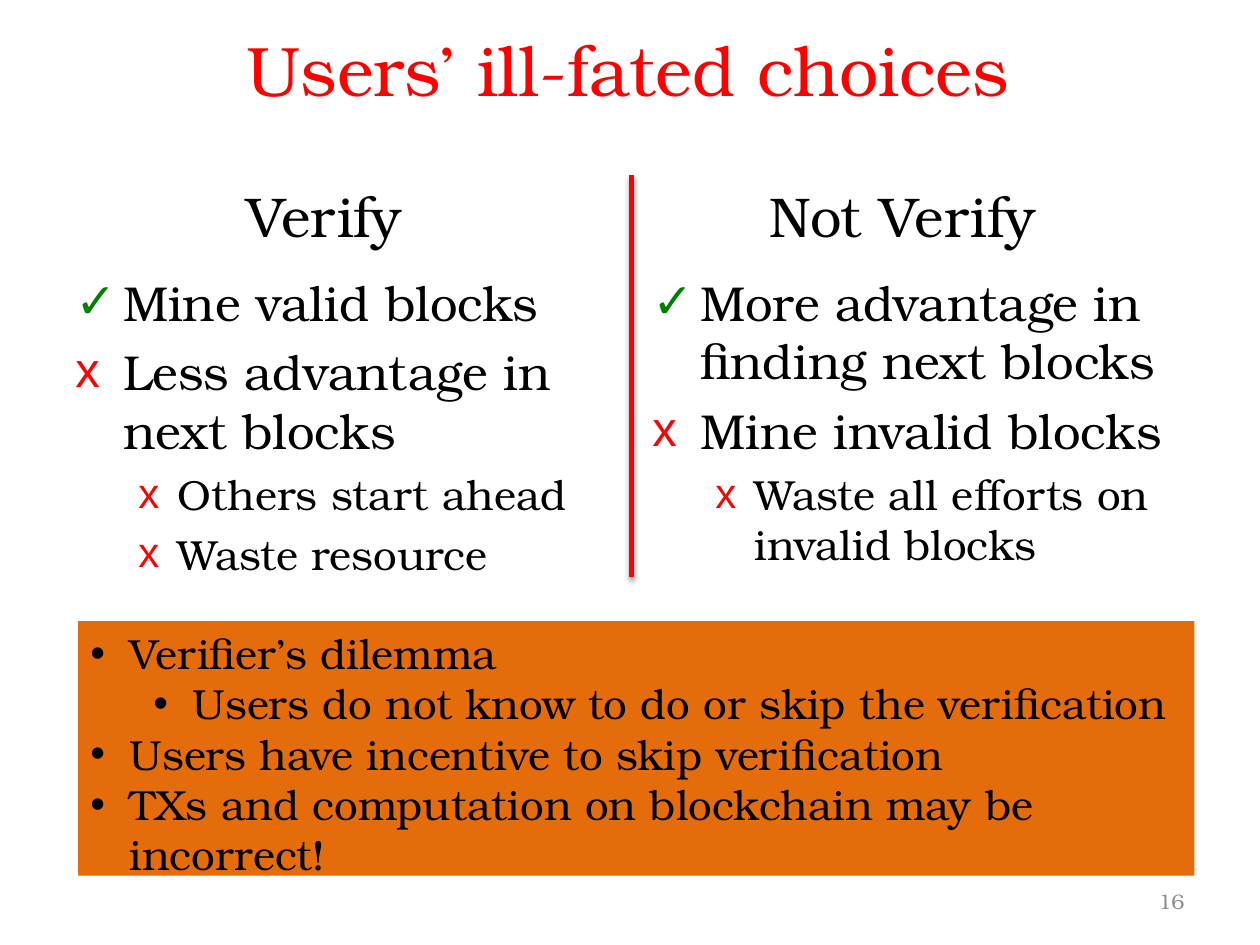
from dataclasses import dataclass

from lxml import etree
from pptx import Presentation
from pptx.dml.color import RGBColor
from pptx.enum.shapes import MSO_CONNECTOR, MSO_SHAPE
from pptx.enum.text import MSO_ANCHOR, MSO_AUTO_SIZE, PP_ALIGN
from pptx.oxml.ns import qn
from pptx.util import Inches, Pt

LEFT, CENTER, RIGHT = PP_ALIGN.LEFT, PP_ALIGN.CENTER, PP_ALIGN.RIGHT
TOP, MIDDLE = MSO_ANCHOR.TOP, MSO_ANCHOR.MIDDLE
NO_AUTOFIT = MSO_AUTO_SIZE.NONE
RECTANGLE, STRAIGHT = MSO_SHAPE.RECTANGLE, MSO_CONNECTOR.STRAIGHT
TITLE_ONLY = 5


@dataclass(frozen=True)
class Theme:
    font: str = "TeX Gyre Bonum"
    bullet_font: str = "Arial"
    text: str = "000000"
    accent: str = "FF0000"
    good: str = "008000"
    panel: str = "E46C0A"
    muted: str = "8C8C8C"
    title_size: int = 40
    heading_size: int = 32
    point_size: int = 28
    detail_size: int = 24
    number_size: int = 12


THEME = Theme()
PRO = ("✓", THEME.good)
CON = ("x", THEME.accent)
DOT = ("•", THEME.text)

CHOICES = [
    ("Verify", 1, 0.5, [
        (0, PRO, "Mine valid blocks"),
        (0, CON, "Less advantage in next blocks"),
        (1, CON, "Others start ahead"),
        (1, CON, "Waste resource"),
    ]),
    ("Not Verify", 5.59, 5.08, [
        (0, PRO, "More advantage in finding next blocks"),
        (0, CON, "Mine invalid blocks"),
        (1, CON, "Waste all efforts on invalid blocks"),
    ]),
]
DILEMMA = [
    (0, DOT, "Verifier’s dilemma"),
    (1, DOT, "Users do not know to do or skip the verification"),
    (0, DOT, "Users have incentive to skip verification"),
    (0, DOT, "TXs and computation on blockchain may be incorrect!"),
]


def apply_format(target, values):
    for name, value in values.items():
        setattr(target, name, value)


def place(shape, box):
    names = ("left", "top", "width", "height")
    apply_format(shape, dict(zip(names, map(Inches, box))))


def prepare_frame(shape, anchor=TOP):
    frame = shape.text_frame
    apply_format(frame, {
        "word_wrap": True, "auto_size": NO_AUTOFIT, "vertical_anchor": anchor,
        "margin_left": Inches(0.1), "margin_right": Inches(0.1),
        "margin_top": Inches(0.05), "margin_bottom": Inches(0.05),
    })
    return frame


def write(paragraph, text, size, color=THEME.text, align=LEFT):
    paragraph.alignment = align
    run = paragraph.add_run()
    run.text = text
    apply_format(run.font, {"name": THEME.font, "size": Pt(size)})
    run.font.color.rgb = RGBColor.from_string(color)


def add_label(slide, box, text, size, color, align, anchor=TOP):
    label = slide.shapes.add_textbox(*map(Inches, box))
    write(prepare_frame(label, anchor).paragraphs[0], text, size, color, align)


def set_bullet(paragraph, bullet, margin, hanging):
    character, color = bullet
    properties = paragraph._p.get_or_add_pPr()
    properties.set("marL", str(Inches(margin)))
    properties.set("indent", str(-Inches(hanging)))
    bullet_color = etree.SubElement(properties, qn("a:buClr"))
    etree.SubElement(bullet_color, qn("a:srgbClr"), val=color)
    etree.SubElement(properties, qn("a:buFont"), typeface=THEME.bullet_font)
    etree.SubElement(properties, qn("a:buChar"), char=character)


def write_bullets(frame, items, sizes, indents, spacing=0):
    """Fill the frame; sizes and indents hold one entry for each level."""
    for index, (level, bullet, text) in enumerate(items):
        paragraph = frame.paragraphs[0] if index == 0 else frame.add_paragraph()
        size = sizes[level]
        write(paragraph, text, size)
        apply_format(paragraph, {"level": level, "space_before": Pt(size * spacing)})
        set_bullet(paragraph, bullet, *indents[level])


def add_title(slide, box):
    title = slide.shapes.title
    place(title, box)
    frame = prepare_frame(title, MIDDLE)
    write(frame.paragraphs[0], "Users’ ill-fated choices",
          THEME.title_size, THEME.accent, CENTER)


def add_choice(slide, heading_box, body_box, heading, items):
    add_label(slide, heading_box, heading, THEME.heading_size, THEME.text, CENTER)
    body = slide.shapes.add_textbox(*map(Inches, body_box))
    write_bullets(prepare_frame(body), items,
                  (THEME.point_size, THEME.detail_size),
                  ((0.38, 0.38), (0.81, 0.31)), spacing=0.22)


def add_divider(slide, x, top, bottom):
    divider = slide.shapes.add_connector(
        STRAIGHT, *map(Inches, (x, top, x, bottom)))
    divider.line.color.rgb = RGBColor.from_string(THEME.accent)
    divider.line.width = Pt(3)
    effects = etree.SubElement(divider._element.spPr, qn("a:effectLst"))
    shadow = etree.SubElement(
        effects, qn("a:outerShdw"), blurRad=str(Pt(3.1)), dist=str(Pt(1.8)),
        dir="5400000", rotWithShape="0")
    color = etree.SubElement(shadow, qn("a:srgbClr"), val="000000")
    etree.SubElement(color, qn("a:alpha"), val="35000")


def add_dilemma_panel(slide, box):
    panel = slide.shapes.add_shape(RECTANGLE, *map(Inches, box))
    panel.shadow.inherit = False
    panel.fill.solid()
    panel.fill.fore_color.rgb = RGBColor.from_string(THEME.panel)
    panel.line.fill.background()
    write_bullets(prepare_frame(panel), DILEMMA, (THEME.detail_size,) * 2,
                  ((0.31, 0.31), (0.81, 0.31)))


def build_slide(presentation):
    slide = presentation.slides.add_slide(presentation.slide_layouts[TITLE_ONLY])
    add_title(slide, (0.48, 0.12, 9, 0.84))
    for heading, heading_left, body_left, items in CHOICES:
        add_choice(slide, (heading_left, 1.39, 3.15, 0.64),
                   (body_left, 2.11, 4.42, 2.47), heading, items)
    add_divider(slide, 5.01, 1.39, 4.58)
    add_dilemma_panel(slide, (0.62, 4.93, 8.86, 2.02))
    add_label(slide, (7.17, 6.95, 2.33, 0.4), "16",
              THEME.number_size, THEME.muted, RIGHT, MIDDLE)


def main():
    presentation = Presentation()
    apply_format(presentation,
                 {"slide_width": Inches(10), "slide_height": Inches(7.5)})
    build_slide(presentation)
    presentation.save("out.pptx")


if __name__ == "__main__":
    main()
